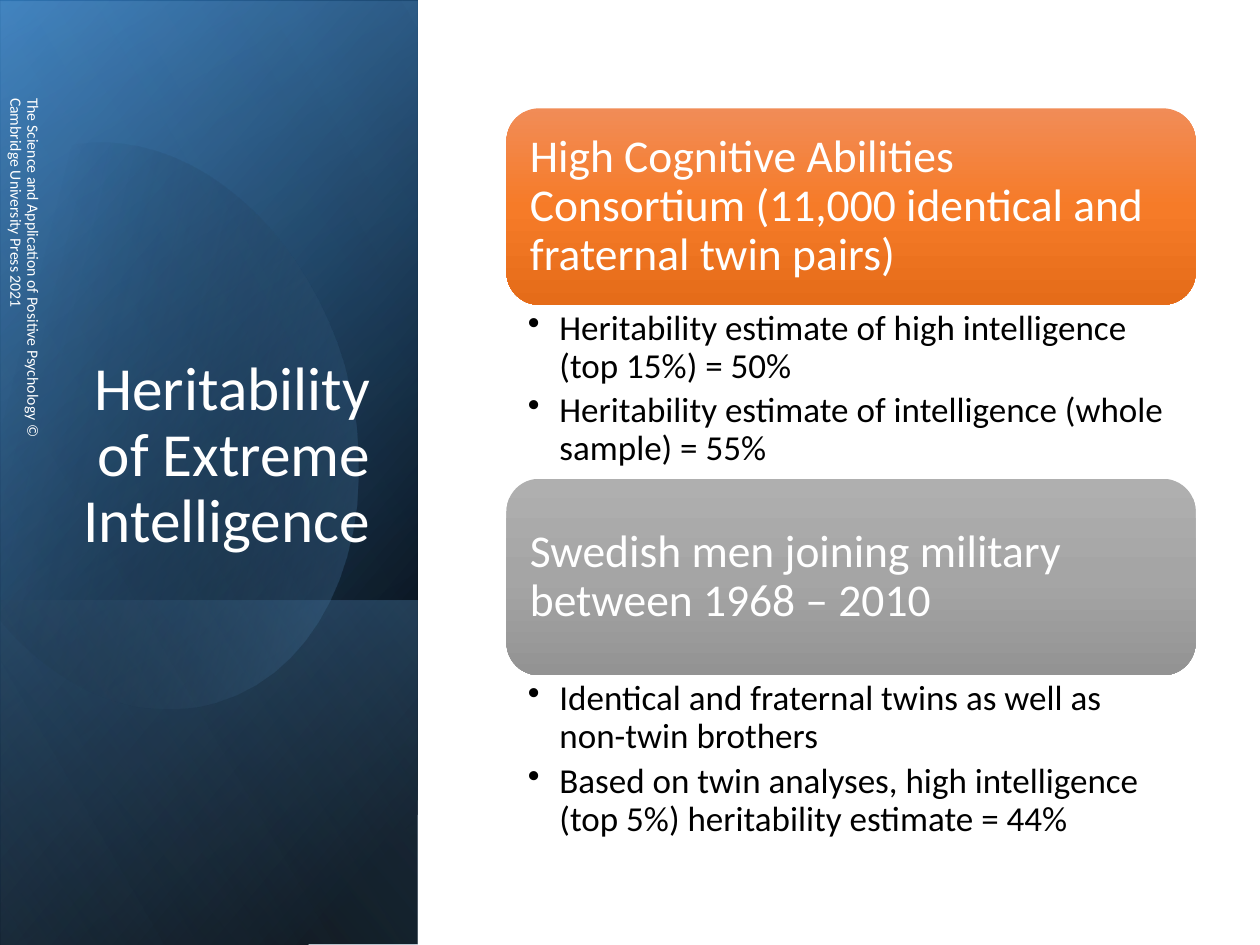
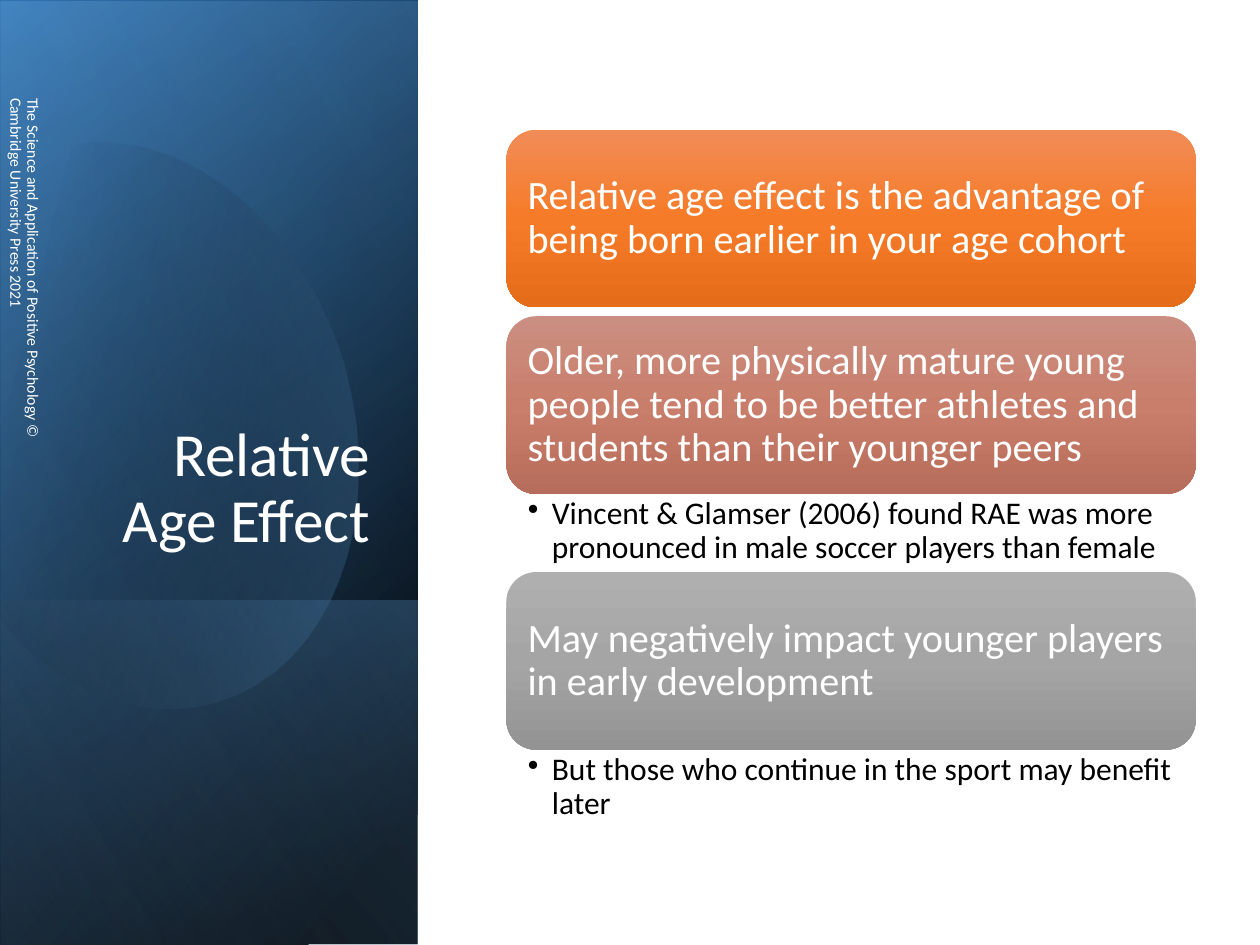
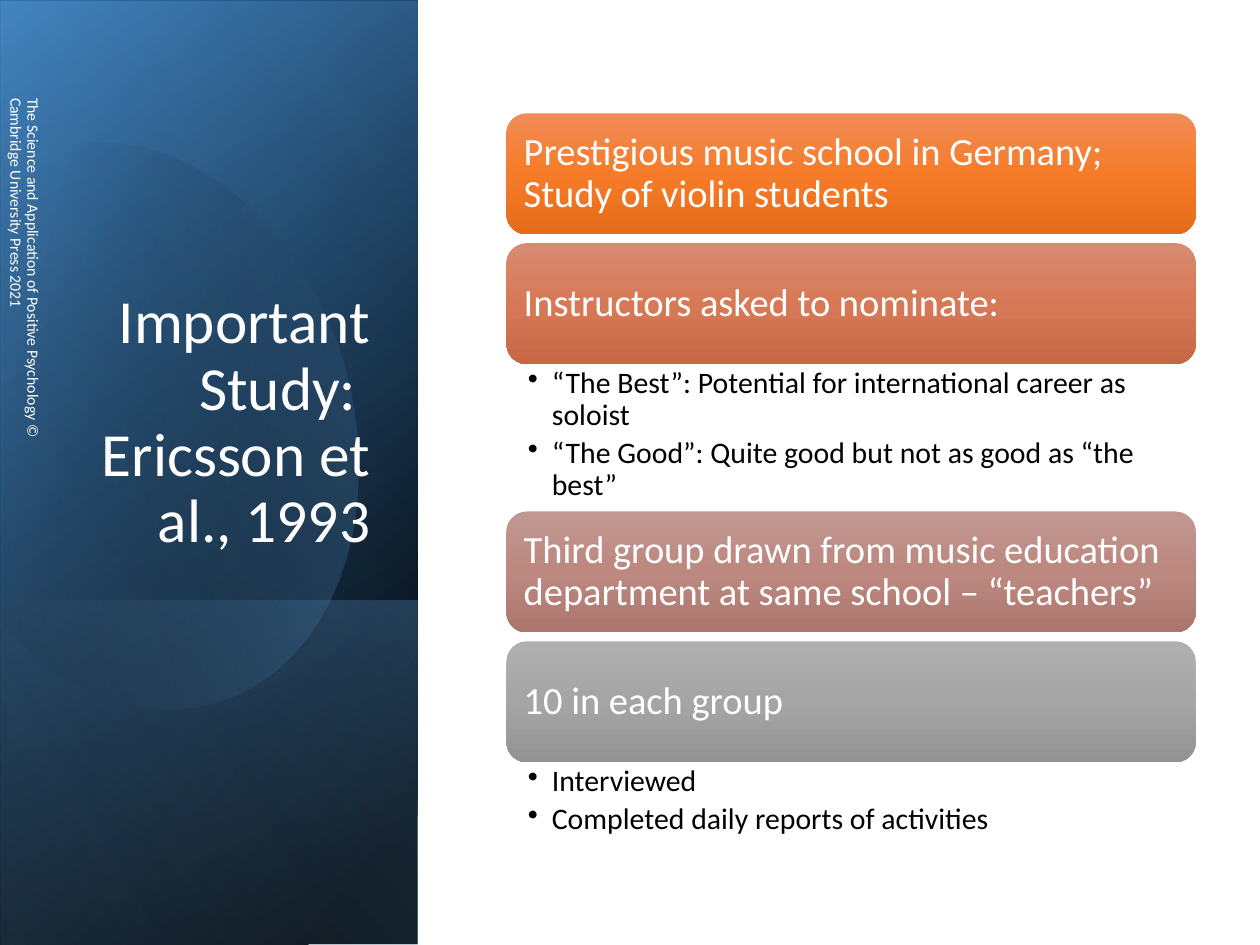
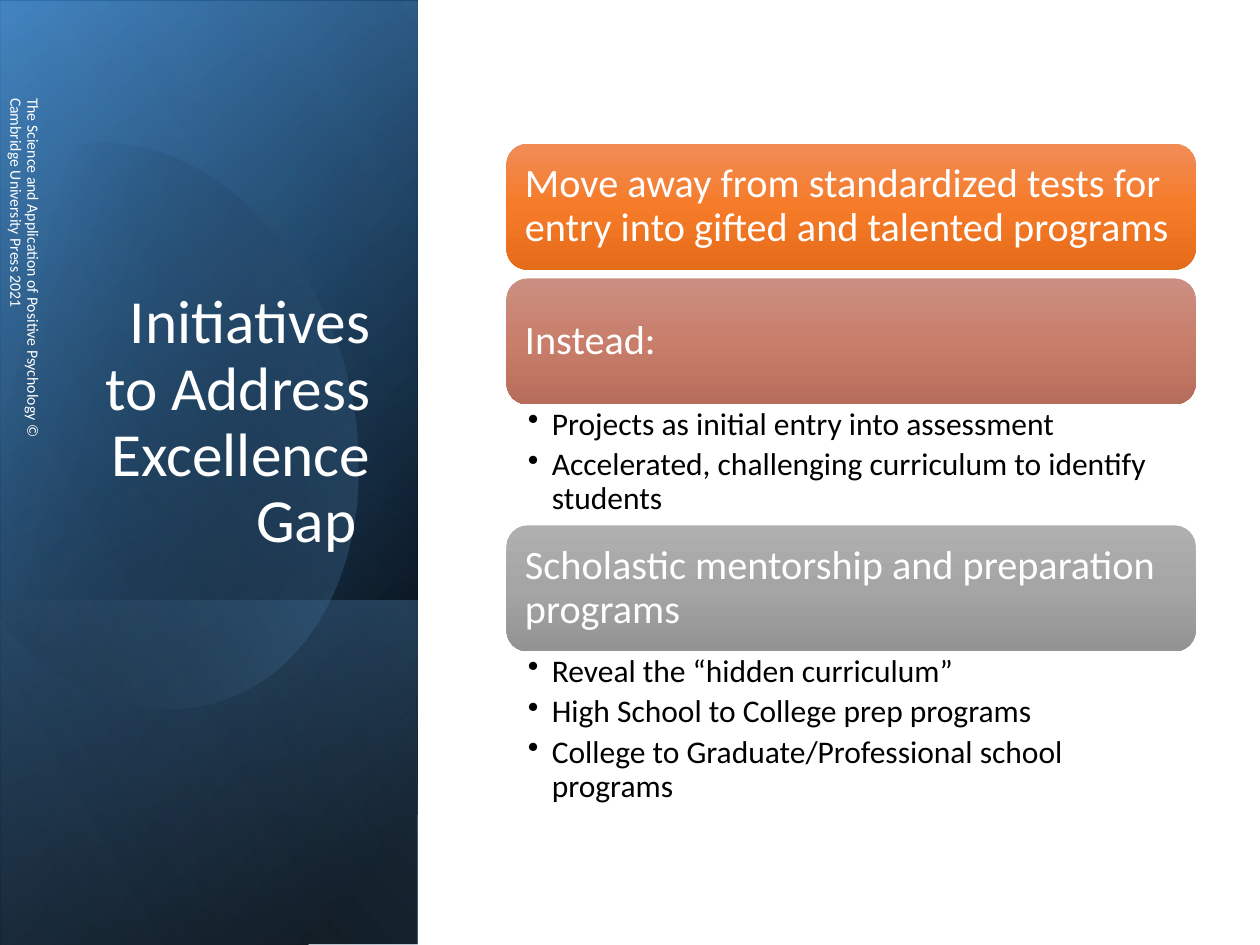
"""Build four slides on heritability, age and expertise with a shared blue side band."""
from math import cos, radians, sin

from pptx import Presentation
from pptx.dml.color import RGBColor
from pptx.enum.shapes import MSO_SHAPE
from pptx.enum.text import MSO_ANCHOR, MSO_AUTO_SIZE, PP_ALIGN
from pptx.oxml import parse_xml
from pptx.oxml.ns import nsdecls, qn
from pptx.oxml.xmlchemy import OxmlElement
from pptx.util import Inches, Pt

FONT = "Calibri"
WHITE, BLACK = "FFFFFF", "000000"
FOOTER = "The Science and Application of Positive Psychology © Cambridge University Press 2021"
CARD_LEFT, CARD_WIDTH, CARD_GAP = 4.02, 5.47, 0.07

CARD_COLOURS = {
    "orange": ("F18C57", "F67B28", "E56C19"),
    "coral": ("D78B72", "D77956", "C66846"),
    "terracotta": ("CB8F81", "C97E6B", "B76D5B"),
    "rose": ("C19791", "BC8880", "AA766E"),
    "grey": ("AFAFAF", "A5A5A5", "939393"),
}

BASE_BAND = ((-2.09, 2.09, 7.5, 3.31), [(8, BLACK, 100), (100, "2E75B6", 100)], 50)
GLOW_BAND = ((-2.09, 2.11, 7.5, 3.31), [(0, BLACK, 0), (99, "5B9BD5", 46)], 30)
FOOT_BAND = ((0.29, 4.48, 2.74, 3.31), [(2, "5B9BD5", 29), (100, BLACK, 30)], 130)
SHEEN_BAND = ((-2.09, 2.09, 7.5, 3.31), [(0, BLACK, 0), (99, "9DC3E6", 11)], 120)

OVAL_TILT = 343.9
OVAL_CENTRE = complex(1.19, 3.35)
OVAL_START = complex(0.96, 1.14)
OVAL_CURVES = [
    [(1.71, 1.22), (2.44, 1.92), (2.73, 2.9)],
    [(3.07, 4.12), (2.62, 5.31), (1.71, 5.57)],
    [(1.14, 5.74), (0.53, 5.5), (0.07, 5)],
    [(-0.03, 4.88)],
    [(-0.25, 1.66)],
    [(-0.15, 1.54)],
    [(0.02, 1.37), (0.22, 1.25), (0.45, 1.18)],
    [(0.62, 1.13), (0.79, 1.12), (0.96, 1.14)],
]

SLIDES = [
    dict(title="Heritability of Extreme Intelligence", top=0.86, card_height=1.56,
         card_size=26, list_size=20, indent=0.25, cards=[
             ("orange", "High Cognitive Abilities Consortium (11,000 identical and fraternal twin pairs)", 1.38,
              ["Heritability estimate of high intelligence (top 15%) = 50%",
               "Heritability estimate of intelligence (whole sample) = 55%"]),
             ("grey", "Swedish men joining military between 1968 – 2010", 1.38,
              ["Identical and fraternal twins as well as non-twin brothers",
               "Based on twin analyses, high intelligence (top 5%) heritability estimate = 44%"]),
         ]),
    dict(title="Relative Age Effect", top=1.03, card_height=1.41,
         card_size=23, list_size=18, indent=0.19, cards=[
             ("orange", "Relative age effect is the advantage of being born earlier in your age cohort", 0, []),
             ("terracotta", "Older, more physically mature young people tend to be better athletes "
              "and students than their younger peers", 0.62,
              ["Vincent & Glamser (2006) found RAE was more pronounced in male soccer players than female"]),
             ("grey", "May negatively impact younger players in early development", 0.62,
              ["But those who continue in the sport may benefit later"]),
         ]),
    dict(title="Important Study: \vEricsson et al., 1993", top=0.9, card_height=0.96,
         card_size=22, list_size=17, indent=0.19, cards=[
             ("orange", "Prestigious music school in Germany; Study of violin students", 0, []),
             ("coral", "Instructors asked to nominate:", 1.17,
              ["“The Best”: Potential for international career as soloist",
               "“The Good”: Quite good but not as good as “the best”"]),
             ("rose", "Third group drawn from music education department at same school – “teachers”", 0, []),
             ("grey", "10 in each group", 0.65,
              ["Interviewed", "Completed daily reports of activities"]),
         ]),
    dict(title="Initiatives to Address Excellence Gap ", top=1.14, card_height=1,
         card_size=23, list_size=18, indent=0.19, cards=[
             ("orange", "Move away from standardized tests for entry into gifted and talented programs", 0, []),
             ("terracotta", "Instead:", 0.96,
              ["Projects as initial entry into assessment",
               "Accelerated, challenging curriculum to identify students"]),
             ("grey", "Scholastic mentorship and preparation programs", 1.3,
              ["Reveal the “hidden curriculum”", "High School to College prep programs",
               "College to Graduate/Professional school programs"]),
         ]),
]


def paint(shape, stops, angle):
    """Give a shape a linear gradient of (position, hex colour, opacity) stops."""
    shape.shadow.inherit = False
    shape.line.fill.background()
    shape.fill.background()
    marks = "".join(
        f'<a:gs pos="{position * 1000}"><a:srgbClr val="{colour}">'
        f'<a:alpha val="{opacity * 1000}"/></a:srgbClr></a:gs>'
        for position, colour, opacity in stops)
    gradient = parse_xml(f'<a:gradFill {nsdecls("a")} rotWithShape="1"><a:gsLst>{marks}</a:gsLst>'
                         f'<a:lin ang="{angle * 60000}" scaled="0"/></a:gradFill>')
    properties = shape.element.spPr
    properties.replace(properties.find(qn("a:noFill")), gradient)


def write(shape, *lines, size, colour=WHITE, align=PP_ALIGN.LEFT, anchor=MSO_ANCHOR.MIDDLE,
          margins=(0.1, 0.05, 0.1, 0.05), bullet_indent=0, after=0):
    """Fill a shape with paragraphs in one format."""
    frame = shape.text_frame
    frame.word_wrap = True
    frame.auto_size = MSO_AUTO_SIZE.NONE
    frame.vertical_anchor = anchor
    frame.margin_left, frame.margin_top, frame.margin_right, frame.margin_bottom = map(Inches, margins)
    for number, line in enumerate(lines):
        para = frame.add_paragraph() if number else frame.paragraphs[0]
        para.text = line
        if bullet_indent:
            para.level = 1
            properties = para._p.get_or_add_pPr()
            properties.set("marL", str(Inches(bullet_indent)))
            properties.set("indent", str(-Inches(bullet_indent)))
            bullet = OxmlElement("a:buChar")
            bullet.set("char", "•")
            properties.append(bullet)
        para.alignment = align
        para.line_spacing = 0.9
        para.space_before = Pt(0)
        para.space_after = Pt(after)
        for span in para.runs:
            span.font.name = FONT
            span.font.size = Pt(size)
            span.font.color.rgb = RGBColor.from_string(colour)


oval_points = [OVAL_START]
for curve in OVAL_CURVES:
    start, ends = oval_points[-1], [complex(*point) for point in curve]
    if len(ends) == 1:
        oval_points += ends
        continue
    first, second, end = ends
    for step in range(1, 17):
        t = step / 16
        oval_points.append((1 - t) ** 3 * start + 3 * (1 - t) ** 2 * t * first
                           + 3 * (1 - t) * t ** 2 * second + t ** 3 * end)
untilt = complex(cos(radians(-OVAL_TILT)), sin(radians(-OVAL_TILT)))
upright = [OVAL_CENTRE + (point - OVAL_CENTRE) * untilt for point in oval_points]
outline = [(Inches(point.real), Inches(point.imag)) for point in upright]

deck = Presentation()
deck.slide_width, deck.slide_height = Inches(10), Inches(7.5)

for content in SLIDES:
    page = deck.slides.add_slide(deck.slide_layouts[5])

    for band in (BASE_BAND, GLOW_BAND, FOOT_BAND, None, SHEEN_BAND):
        if band is None:
            builder = page.shapes.build_freeform(*outline[0])
            builder.add_line_segments(outline[1:], close=True)
            oval = builder.convert_to_shape()
            oval.rotation = OVAL_TILT
            paint(oval, [(29, BLACK, 0), (100, "5B9BD5", 43)], 30)
            continue
        place, stops, angle = band
        panel = page.shapes.add_shape(MSO_SHAPE.RECTANGLE, *map(Inches, place))
        panel.rotation = 90
        panel.element.spPr.xfrm.set("flipH", "1")
        paint(panel, stops, angle)

    title = page.shapes.title
    title.element.getparent().append(title.element)
    title.left, title.top, title.width, title.height = map(Inches, (0.48, 1.84, 2.56, 2.62))
    write(title, content["title"], size=35, align=PP_ALIGN.RIGHT, anchor=MSO_ANCHOR.BOTTOM)

    footer = page.shapes.add_textbox(*map(Inches, (-1.5, 2.17, 3.38, 0.4)))
    footer.rotation = 90
    write(footer, FOOTER, size=9)

    top, card_height = content["top"], content["card_height"]
    card_size, list_size = content["card_size"], content["list_size"]
    card_inset = round(card_size * 0.0042, 2)
    list_inset = round(list_size * 0.0018, 2)
    for colour_name, heading, list_height, points in content["cards"]:
        card = page.shapes.add_shape(MSO_SHAPE.ROUNDED_RECTANGLE, Inches(CARD_LEFT), Inches(top),
                                     Inches(CARD_WIDTH), Inches(card_height))
        paint(card, [(position, colour, 100) for position, colour
                     in zip((0, 50, 100), CARD_COLOURS[colour_name])], 90)
        write(card, heading, size=card_size, margins=[card_inset] * 4)
        top += card_height
        if points:
            box = page.shapes.add_textbox(Inches(CARD_LEFT), Inches(top),
                                          Inches(CARD_WIDTH), Inches(list_height))
            write(box, *points, size=list_size, colour=BLACK, anchor=MSO_ANCHOR.TOP,
                  margins=(0.17, list_inset, list_size / 100, list_inset),
                  bullet_indent=content["indent"], after=round(list_size * 0.2, 1))
        top += list_height or CARD_GAP

deck.save("out.pptx")
